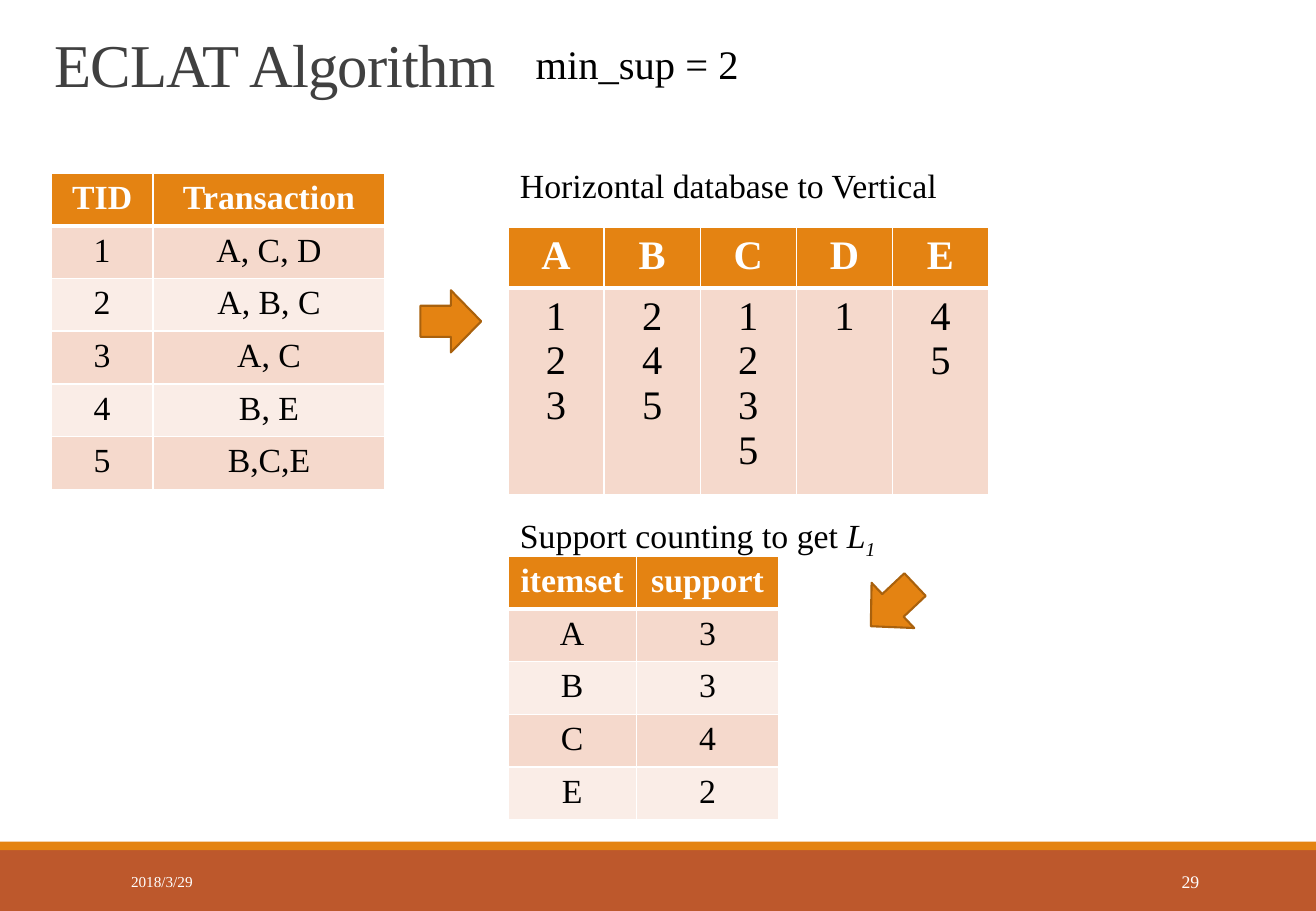
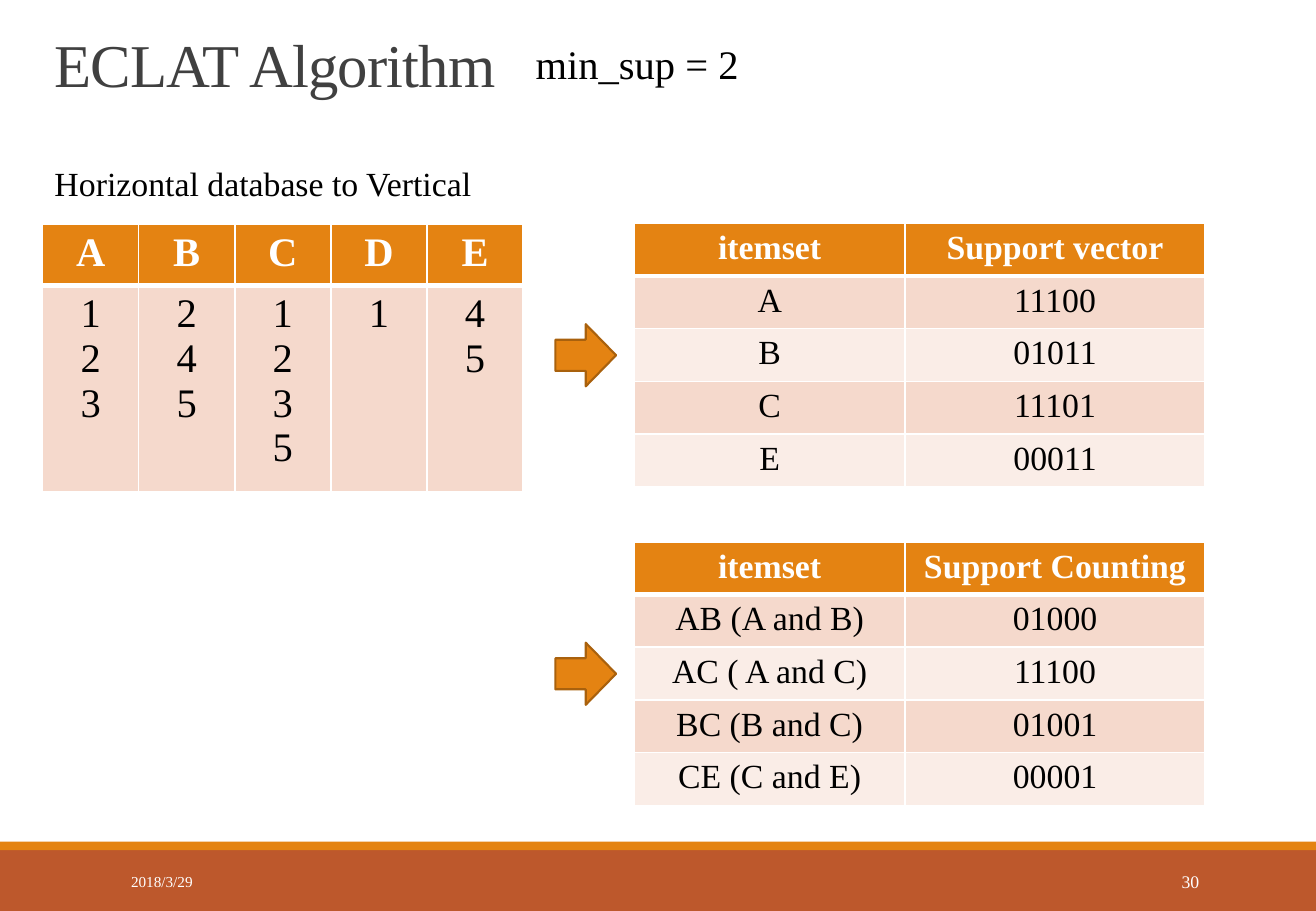
from dataclasses import dataclass

from lxml import etree
from pptx import Presentation
from pptx.dml.color import RGBColor
from pptx.enum.shapes import MSO_SHAPE
from pptx.enum.text import MSO_ANCHOR, MSO_AUTO_SIZE, PP_ALIGN
from pptx.oxml.ns import qn
from pptx.util import Cm, Pt

RECTANGLE, RIGHT_ARROW = MSO_SHAPE.RECTANGLE, MSO_SHAPE.RIGHT_ARROW
TOP, MIDDLE, BOTTOM = MSO_ANCHOR.TOP, MSO_ANCHOR.MIDDLE, MSO_ANCHOR.BOTTOM
LEFT, CENTER, RIGHT = PP_ALIGN.LEFT, PP_ALIGN.CENTER, PP_ALIGN.RIGHT
FIT_SHAPE = MSO_AUTO_SIZE.SHAPE_TO_FIT_TEXT

WHITE = RGBColor(0xFF, 0xFF, 0xFF)
BLACK = RGBColor(0, 0, 0)
CHARCOAL = RGBColor(0x40, 0x40, 0x40)
ORANGE = RGBColor(0xE4, 0x83, 0x12)
RUST = RGBColor(0xBD, 0x58, 0x2C)
BROWN = RGBColor(0xA9, 0x61, 0x0D)
BAND_DARK = RGBColor(0xF5, 0xD9, 0xCC)
BAND_LIGHT = RGBColor(0xFA, 0xED, 0xE7)

FONT = "Times New Roman"
SLIDE_WIDTH, SLIDE_HEIGHT = 27.51, 19.05
CAPTION_SIZE, LARGE_SIZE = 20, 24
ROW_HEIGHT = 1.1
THIN, THICK = 1, 3


@dataclass
class Span:
    text: str
    size: float = CAPTION_SIZE
    color: RGBColor = BLACK
    bold: bool = False
    italic: bool = False
    extra: tuple = ()  # further attributes of the run, as name and value


@dataclass
class Label:
    left: float
    top: float
    width: float
    height: float
    spans: list[Span]
    anchor: MSO_ANCHOR = TOP
    align: PP_ALIGN = LEFT
    spacing: float = 1.0
    wrap: bool = False


@dataclass
class Grid:
    left: float
    top: float
    columns: list[float]
    heights: list[float]
    rows: list[list[str]]
    size: float = CAPTION_SIZE


@dataclass
class Arrow:
    left: float
    top: float
    rotation: float = 0


@dataclass
class Page:
    number: int
    grids: list[Grid]
    arrows: list[Arrow]
    captions: list[Label]


# Contents
def item_grid(left: float, top: float, columns: list[float],
              rows: list[list[str]]) -> Grid:
    return Grid(left, top, columns, [ROW_HEIGHT] * len(rows), rows)


def vertical_grid(left: float, top: float) -> Grid:
    rows = [list("ABCDE"), ["1\n2\n3", "2\n4\n5", "1\n2\n3\n5", "1", "4\n5"]]
    return Grid(left, top, [2.01] * 5, [1.27, 4.3], rows, LARGE_SIZE)


def vertical_caption(left: float, top: float) -> Label:
    return Label(left, top, 9.3, 1.11, [Span("Horizontal database to Vertical")])


VECTOR_LEFT, VECTOR_COLUMNS = 13.26, [5.66, 6.27]

PAGES = [
    Page(
        29,
        [
            item_grid(1.07, 3.62, [2.13, 4.85], [
                ["TID", "Transaction"], ["1", "A, C, D"], ["2", "A, B, C"],
                ["3", "A, C"], ["4", "B, E"], ["5", "B,C,E"]]),
            vertical_grid(10.62, 4.75),
            item_grid(10.62, 11.63, [2.68, 2.98], [
                ["itemset", "support"], ["A", "3"], ["B", "3"], ["C", "4"],
                ["E", "2"]]),
        ],
        [Arrow(8.79, 6.07), Arrow(18.03, 12.01, 136.7)],
        [
            vertical_caption(10.62, 3.33),
            Label(10.62, 10.64, 8.03, 1.11, [
                Span("Support counting to get "),
                Span("L", italic=True),
                Span("1", italic=True, extra=(("baseline", "-25000"),))]),
        ],
    ),
    Page(
        30,
        [
            vertical_grid(0.89, 4.7),
            item_grid(VECTOR_LEFT, 4.67, VECTOR_COLUMNS, [
                ["itemset", "Support vector"], ["A", "11100"], ["B", "01011"],
                ["C", "11101"], ["E", "00011"]]),
            item_grid(VECTOR_LEFT, 11.33, VECTOR_COLUMNS, [
                ["itemset", "Support Counting"], ["AB (A and B)", "01000"],
                ["AC ( A and C)", "11100"], ["BC (B and C)", "01001"],
                ["CE (C and E)", "00001"]]),
        ],
        [Arrow(11.61, 6.78), Arrow(11.61, 13.44)],
        [vertical_caption(0.89, 3.28)],
    ),
]


# Drawing helpers
def add_span(para, span: Span) -> None:
    run = para.add_run()
    run.text = span.text
    values = {"name": FONT, "size": Pt(span.size), "bold": span.bold,
              "italic": span.italic}
    for name, value in values.items():
        setattr(run.font, name, value)
    run.font.color.rgb = span.color
    for name, value in span.extra:
        run.font._element.set(name, value)


def add_label(slide, label: Label) -> None:
    box = slide.shapes.add_textbox(
        Cm(label.left), Cm(label.top), Cm(label.width), Cm(label.height))
    frame = box.text_frame
    values = {"word_wrap": label.wrap, "vertical_anchor": label.anchor}
    if not label.wrap:
        values["auto_size"] = FIT_SHAPE
    for name, value in values.items():
        setattr(frame, name, value)
    para = frame.paragraphs[0]
    para.alignment = label.align
    para.line_spacing = label.spacing
    for span in label.spans:
        add_span(para, span)


def add_filled(slide, kind: MSO_SHAPE, left: float, top: float, width: float,
               height: float, color: RGBColor):
    shape = slide.shapes.add_shape(kind, Cm(left), Cm(top), Cm(width), Cm(height))
    shape.shadow.inherit = False
    shape.fill.solid()
    shape.fill.fore_color.rgb = color
    shape.line.fill.background()
    return shape


def add_arrow(slide, arrow: Arrow) -> None:
    shape = add_filled(slide, RIGHT_ARROW, arrow.left, arrow.top, 1.27, 1.3, ORANGE)
    shape.rotation = arrow.rotation
    shape.line.color.rgb = BROWN
    shape.line.width = Pt(1.25)


def set_borders(cell, row: int) -> None:
    widths = {"a:lnL": THIN, "a:lnR": THIN,
              "a:lnT": THICK if row == 1 else THIN,
              "a:lnB": THICK if row == 0 else THIN}
    properties = cell._tc.get_or_add_tcPr()
    for tag, width in widths.items():
        line = etree.SubElement(properties, qn(tag), w=str(Pt(width)))
        fill = etree.SubElement(line, qn("a:solidFill"))
        etree.SubElement(fill, qn("a:srgbClr"), val=str(WHITE))


def add_grid(slide, grid: Grid) -> None:
    table = slide.shapes.add_table(
        len(grid.rows), len(grid.columns), Cm(grid.left), Cm(grid.top),
        Cm(sum(grid.columns)), Cm(sum(grid.heights))).table
    for column, width in zip(table.columns, grid.columns):
        column.width = Cm(width)
    for index, texts in enumerate(grid.rows):
        table.rows[index].height = Cm(grid.heights[index])
        header = index == 0
        band = BAND_DARK if index % 2 else BAND_LIGHT
        for position, text in enumerate(texts):
            cell = table.cell(index, position)
            set_borders(cell, index)
            cell.fill.solid()
            cell.fill.fore_color.rgb = ORANGE if header else band
            frame = cell.text_frame
            for number, line in enumerate(text.split("\n")):
                para = frame.add_paragraph() if number else frame.paragraphs[0]
                para.alignment = CENTER
                color = WHITE if header else BLACK
                add_span(para, Span(line, grid.size, color, bold=header))


# Parts that every slide shares
def add_frame(slide, number: int) -> None:
    add_filled(slide, RECTANGLE, 0, 17.78, SLIDE_WIDTH, 1.27, RUST)
    add_filled(slide, RECTANGLE, 0, 17.6, SLIDE_WIDTH, 0.18, ORANGE)
    labels = [
        Label(2.49, 17.93, 5.59, 1.02, [Span("2018/3/29", 9, WHITE)],
              MIDDLE, wrap=True),
        Label(22.35, 17.93, 2.97, 1.02, [Span(str(number), 10.5, WHITE)],
              MIDDLE, RIGHT, wrap=True),
        Label(0.89, 0.48, 22.71, 1.73,
              [Span("ECLAT Algorithm", 36, CHARCOAL, extra=(("spc", "-50"),))],
              BOTTOM, spacing=0.85, wrap=True),
        Label(10.95, 0.69, 4.8, 1.27, [Span("min_sup = 2", LARGE_SIZE)]),
    ]
    for label in labels:
        add_label(slide, label)


def main() -> None:
    deck = Presentation()
    deck.slide_width, deck.slide_height = Cm(SLIDE_WIDTH), Cm(SLIDE_HEIGHT)
    blank = deck.slide_layouts[6]
    for page in PAGES:
        slide = deck.slides.add_slide(blank)
        add_frame(slide, page.number)
        for grid in page.grids:
            add_grid(slide, grid)
        for arrow in page.arrows:
            add_arrow(slide, arrow)
        for caption in page.captions:
            add_label(slide, caption)
    deck.save("out.pptx")


if __name__ == "__main__":
    main()
